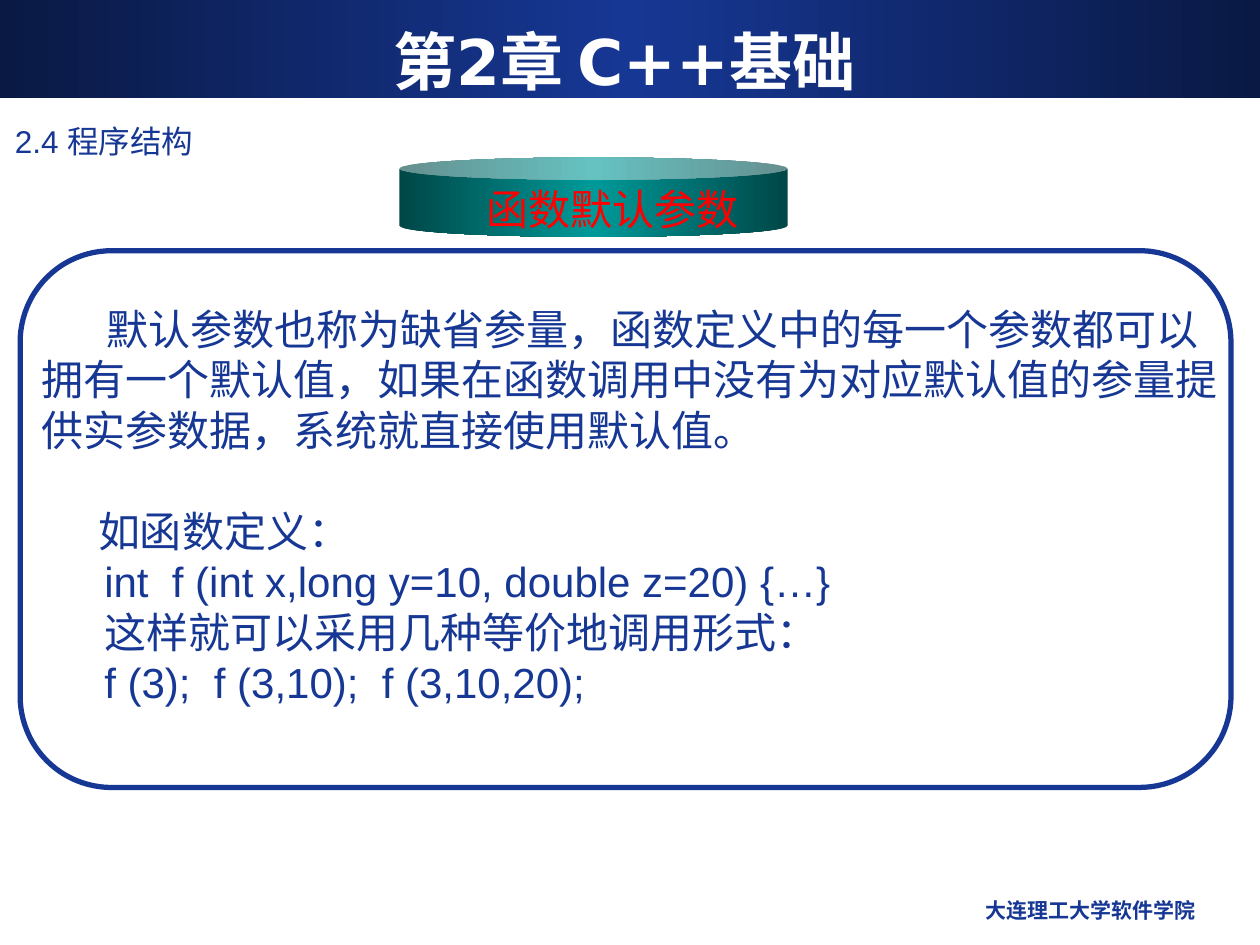
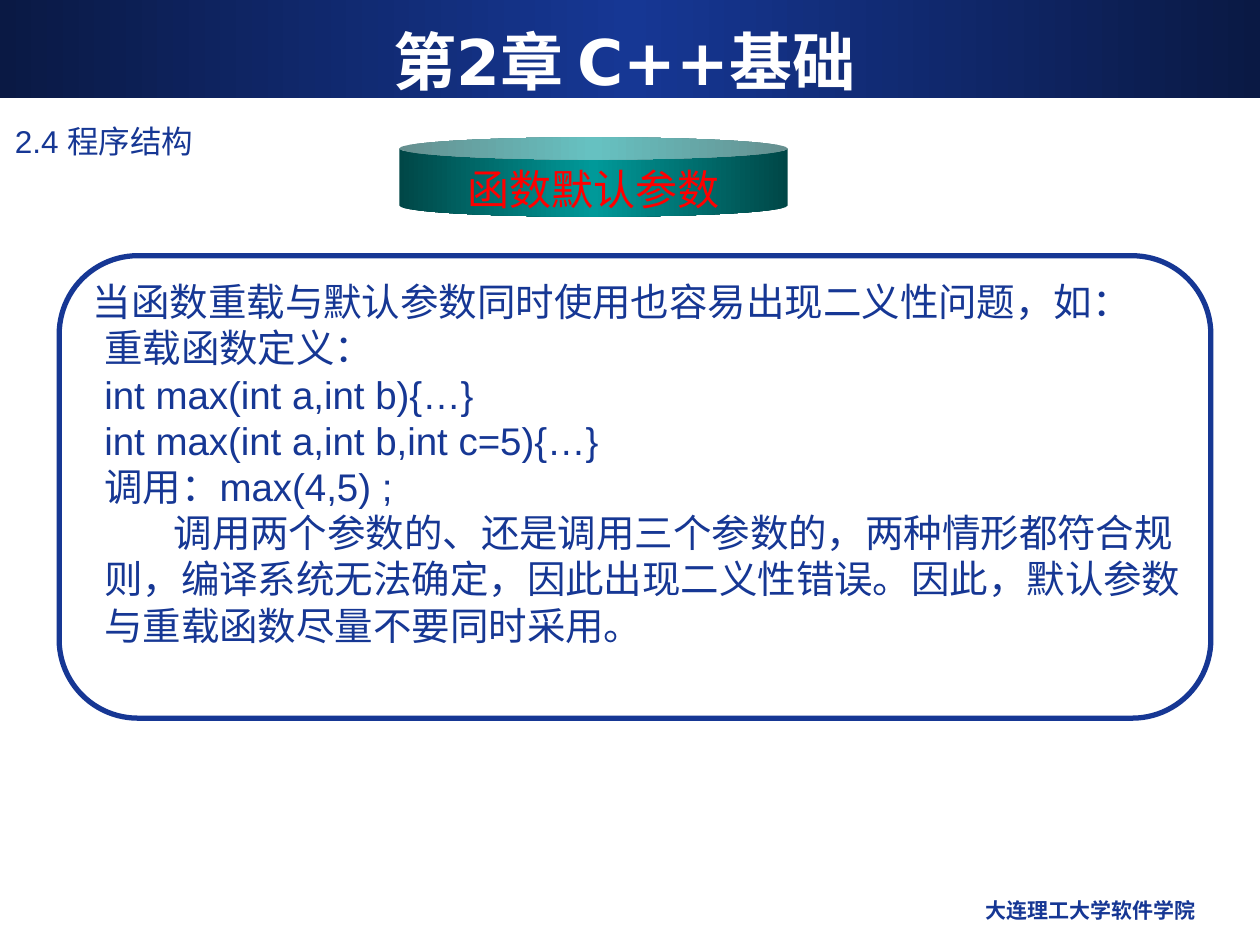
import copy

import pptx
import pptx.dml.color
import pptx.enum.shapes
import pptx.enum.text
import pptx.oxml.ns
import pptx.util

Inches = pptx.util.Inches
Pt = pptx.util.Pt
SHAPE = pptx.enum.shapes.MSO_SHAPE
ALIGN = pptx.enum.text.PP_ALIGN
ANCHOR = pptx.enum.text.MSO_ANCHOR

COLORS = {
    "navy": "163794",
    "night": "0A1944",
    "teal": "009999",
    "deep teal": "004747",
    "red": "FF0000",
    "white": "FFFFFF",
}
CODE_INDENT = 0.5


def rgb(name):
    return pptx.dml.color.RGBColor.from_string(COLORS[name])


def write(para, text, size=24, color="navy", font="Arial", bold=False,
          align=ALIGN.LEFT, left=0, first=0, before=0):
    """Fill one paragraph; left and first are indents in inches."""
    props = para._p.get_or_add_pPr()
    props.set("marL", str(Inches(left)))
    props.set("indent", str(Inches(first)))
    para.alignment = align
    para.space_before = Pt(before)
    span = para.add_run()
    span.text = text
    span.font.size = Pt(size)
    span.font.name = font
    span.font.bold = bold
    span.font.color.rgb = rgb(color)


class Lecture:
    """Holds the deck, its style and the current page."""

    def __init__(self):
        self.deck = pptx.Presentation()
        self.deck.slide_width = Inches(10)
        self.deck.slide_height = Inches(7.5)
        self.page = None

    def shape(self, kind, left, top, width, height, adjust=None):
        shape = self.page.shapes.add_shape(
            kind, Inches(left), Inches(top), Inches(width), Inches(height))
        shape.shadow.inherit = False
        if adjust is not None:
            shape.adjustments[0] = adjust
        return shape

    def glossy(self, shape, edge, middle):
        """Blend from edge to middle and back to edge, left to right."""
        shape.line.fill.background()
        shape.fill.gradient()
        shape.fill.gradient_angle = 0
        stops = shape._element.spPr.find(".//" + pptx.oxml.ns.qn("a:gsLst"))
        stops.append(copy.deepcopy(stops[0]))
        for stop, place, color in zip(shape.fill.gradient_stops,
                                      (0, 0.5, 1), (edge, middle, edge)):
            stop.position = place
            stop.color.rgb = rgb(color)

    def text(self, left, top, width, height, *lines, wrap=True,
             anchor=ANCHOR.TOP, **style):
        """Each line is a text, or a text with its own format."""
        box = self.page.shapes.add_textbox(
            Inches(left), Inches(top), Inches(width), Inches(height))
        frame = box.text_frame
        frame.word_wrap = wrap
        frame.vertical_anchor = anchor
        for number, line in enumerate(lines):
            para = frame.add_paragraph() if number else frame.paragraphs[0]
            text, own = (line, {}) if isinstance(line, str) else line
            write(para, text, **{**style, **own})

    def start_page(self):
        self.page = self.deck.slides.add_slide(self.deck.slide_layouts[6])
        band = self.shape(SHAPE.RECTANGLE, 0, 0, 10, 0.78)
        self.glossy(band, "night", "navy")
        self.text(6.42, 7.07, 3.17, 0.35, "大连理工大学软件学院", size=12,
                  font="DejaVu Sans", bold=True, align=ALIGN.RIGHT)
        self.text(0.02, 0.92, 9.25, 0.33, "2.4 程序结构", size=18)
        self.text(0.33, 0.17, 9.25, 0.62, "第2章 C++基础", size=36,
                  color="white", font="DejaVu Sans", bold=True,
                  align=ALIGN.CENTER, anchor=ANCHOR.MIDDLE)

    def topic(self, text, top, text_left):
        can = self.shape(SHAPE.CAN, 3.17, top, 3.08, 0.63, adjust=0.28)
        self.glossy(can, "deep teal", "teal")
        self.text(text_left, top + 0.16, 2.2, 0.5, text, color="red", wrap=False)

    def frame(self, left, top, width, height):
        frame = self.shape(SHAPE.ROUNDED_RECTANGLE, left, top, width, height,
                           adjust=0.17)
        frame.fill.background()
        frame.line.color.rgb = rgb("navy")
        frame.line.width = Pt(3)


def main():
    lecture = Lecture()
    code = {"left": CODE_INDENT}

    # Default parameters explained
    lecture.start_page()
    lecture.topic("函数默认参数", top=1.25, text_left=3.76)
    lecture.text(
        0.23, 2.36, 9.53, 3.7,
        ("默认参数也称为缺省参量，函数定义中的每一个参数都可以拥有一个默认值，"
         "如果在函数调用中没有为对应默认值的参量提供实参数据，"
         "系统就直接使用默认值。", {"first": 0.52}),
        ("如函数定义：", {"first": 0.45, "before": 29}),
        ("int  f (int x,long y=10, double z=20) {…}", code),
        ("这样就可以采用几种等价地调用形式：", code),
        ("f (3);  f (3,10);  f (3,10,20);", code))
    lecture.frame(0.16, 1.99, 9.61, 4.26)

    # Ambiguity between overloads and default parameters
    lecture.start_page()
    lecture.topic("函数默认参数", top=1.09, text_left=3.61)
    lecture.text(
        0.23, 2.16, 9.4, 3.4,
        ("当函数重载与默认参数同时使用也容易出现二义性问题，如：", {"first": 0.41}),
        ("重载函数定义：", code),
        ("int max(int a,int b){…}", code),
        ("int max(int a,int b,int c=5){…}", code),
        ("调用：max(4,5) ;", code),
        ("调用两个参数的、还是调用三个参数的，两种情形都符合规则，"
         "编译系统无法确定，因此出现二义性错误。"
         "因此，默认参数与重载函数尽量不要同时采用。", {**code, "first": 0.55}),
        size=22)
    lecture.frame(0.47, 2.03, 9.14, 3.67)

    lecture.deck.save("out.pptx")


if __name__ == "__main__":
    main()
